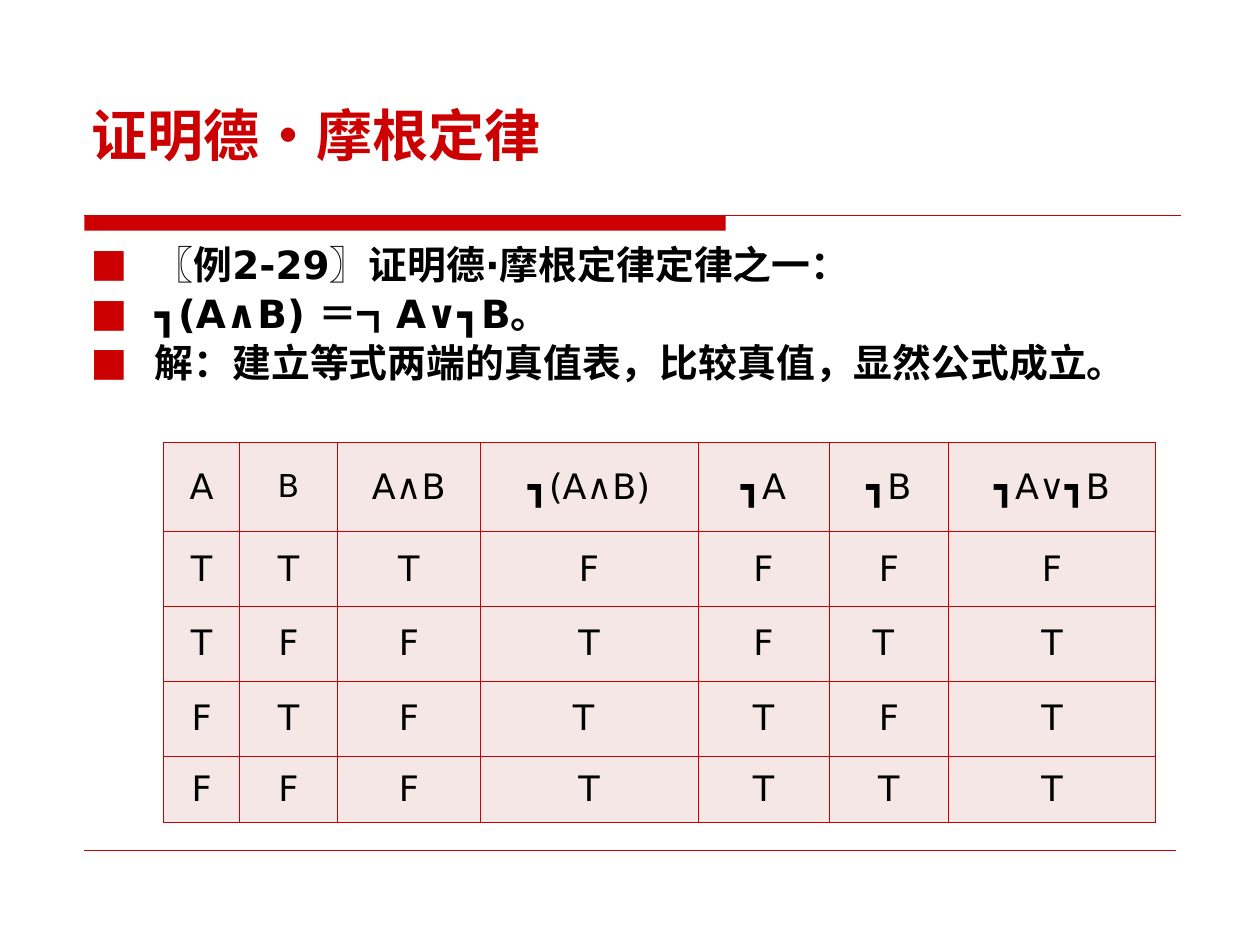
from lxml import etree
from pptx import Presentation
from pptx.dml.color import RGBColor
from pptx.enum.shapes import MSO_CONNECTOR, MSO_SHAPE
from pptx.enum.text import MSO_ANCHOR, PP_ALIGN
from pptx.oxml.ns import qn
from pptx.util import Inches, Pt

LEFT, CENTER = PP_ALIGN.LEFT, PP_ALIGN.CENTER
MIDDLE, BOTTOM = MSO_ANCHOR.MIDDLE, MSO_ANCHOR.BOTTOM
STRAIGHT, RECTANGLE = MSO_CONNECTOR.STRAIGHT, MSO_SHAPE.RECTANGLE
RED, PINK, BLACK = "CC0000", "F6E7E7", "000000"
LATIN, CHINESE = "DejaVu Sans", "Noto Sans CJK SC"


def color(value):
    return RGBColor.from_string(value)


def write(para, text, font_name, size, text_color, bold=False):
    span = para.add_run()
    span.text = text
    font = para.font
    font.name, font.size, font.bold = font_name, Pt(size), bold
    font.color.rgb = color(text_color)
    # East Asian characters take their own typeface
    properties = span.font._element
    properties.set("lang", "zh-CN")
    etree.SubElement(properties, qn("a:ea"), typeface=CHINESE)


deck = Presentation()
deck.slide_width, deck.slide_height = Inches(10), Inches(7.5)
page = deck.slides.add_slide(deck.slide_layouts[5])

# Title
title = page.shapes.title
title.left, title.top = Inches(0.63), Inches(0.33)
title.width, title.height = Inches(8.75), Inches(1.05)
title.text_frame.vertical_anchor = BOTTOM
para = title.text_frame.paragraphs[0]
para.alignment = LEFT
write(para, "证明德·摩根定律", CHINESE, 32, RED, bold=True)

# Thick bar under the title
bar = page.shapes.add_shape(RECTANGLE, Inches(0.67), Inches(1.71), Inches(5.09), Inches(0.12))
bar.shadow.inherit = False
bar.fill.solid()
bar.fill.fore_color.rgb = color(RED)
bar.line.fill.background()

# Thin rules under the title and at the foot
for right, top, width in [(9.37, 1.71, 0.75), (9.33, 6.75, 0.25)]:
    rule = page.shapes.add_connector(
        STRAIGHT, Inches(0.67), Inches(top), Inches(right), Inches(top))
    rule.line.color.rgb = color(RED)
    rule.line.width = Pt(width)
    etree.SubElement(rule._element.spPr, qn("a:effectLst"))

# Bulleted statement and solution
statements = [
    "〖例2-29〗证明德·摩根定律定律之一：",
    "┓(A∧B) ＝┓A∨┓B。",
    "解：建立等式两端的真值表，比较真值，显然公式成立。",
]
box = page.shapes.add_textbox(Inches(0.62), Inches(1.92), Inches(9.18), Inches(1.44))
frame = box.text_frame
frame.word_wrap = True
for index, statement in enumerate(statements):
    para = frame.paragraphs[0] if index == 0 else frame.add_paragraph()
    para.line_spacing = 0.83
    para.space_before = Pt(6 if index else 0)
    properties = para._p.get_or_add_pPr()
    properties.set("marL", str(Inches(0.51)))
    properties.set("indent", str(-Inches(0.51)))
    bullet_color = etree.SubElement(properties, qn("a:buClr"))
    etree.SubElement(bullet_color, qn("a:srgbClr"), val=RED)
    etree.SubElement(properties, qn("a:buFont"), typeface=LATIN)
    etree.SubElement(properties, qn("a:buChar"), char="■")
    write(para, statement, LATIN, 22.2, BLACK, bold=True)

# Truth table
truth_rows = [
    ["A", "B", "A∧B", "┓(A∧B)", "┓A", "┓B", "┓A∨┓B"],
    ["T", "T", "T", "F", "F", "F", "F"],
    ["T", "F", "F", "T", "F", "T ", "T"],
    ["F", "T", "F", "T ", "T", "F", "T"],
    ["F", "F", "F", "T", "T", "T", "T"],
]
column_widths = [0.6, 0.78, 1.13, 1.73, 1.04, 0.95, 1.64]
row_heights = [0.71, 0.59, 0.6, 0.59, 0.53]
table = page.shapes.add_table(
    len(row_heights), len(column_widths), Inches(1.3), Inches(3.51),
    Inches(sum(column_widths)), Inches(sum(row_heights))).table
for column, width in zip(table.columns, column_widths):
    column.width = Inches(width)
for row, height in zip(table.rows, row_heights):
    row.height = Inches(height)

for row_index, values in enumerate(truth_rows):
    for column_index, value in enumerate(values):
        cell = table.cell(row_index, column_index)
        cell.vertical_anchor = MIDDLE
        para = cell.text_frame.paragraphs[0]
        para.alignment = CENTER
        write(para, value, LATIN, 18 if value == "B" else 20, BLACK)
        # Borders come before the fill in the cell properties
        properties = cell._tc.get_or_add_tcPr()
        for side in ("a:lnL", "a:lnR", "a:lnT", "a:lnB"):
            border = etree.SubElement(properties, qn(side), w=str(Pt(0.45)))
            border_fill = etree.SubElement(border, qn("a:solidFill"))
            etree.SubElement(border_fill, qn("a:srgbClr"), val=RED)
        cell.fill.solid()
        cell.fill.fore_color.rgb = color(PINK)

deck.save("out.pptx")
